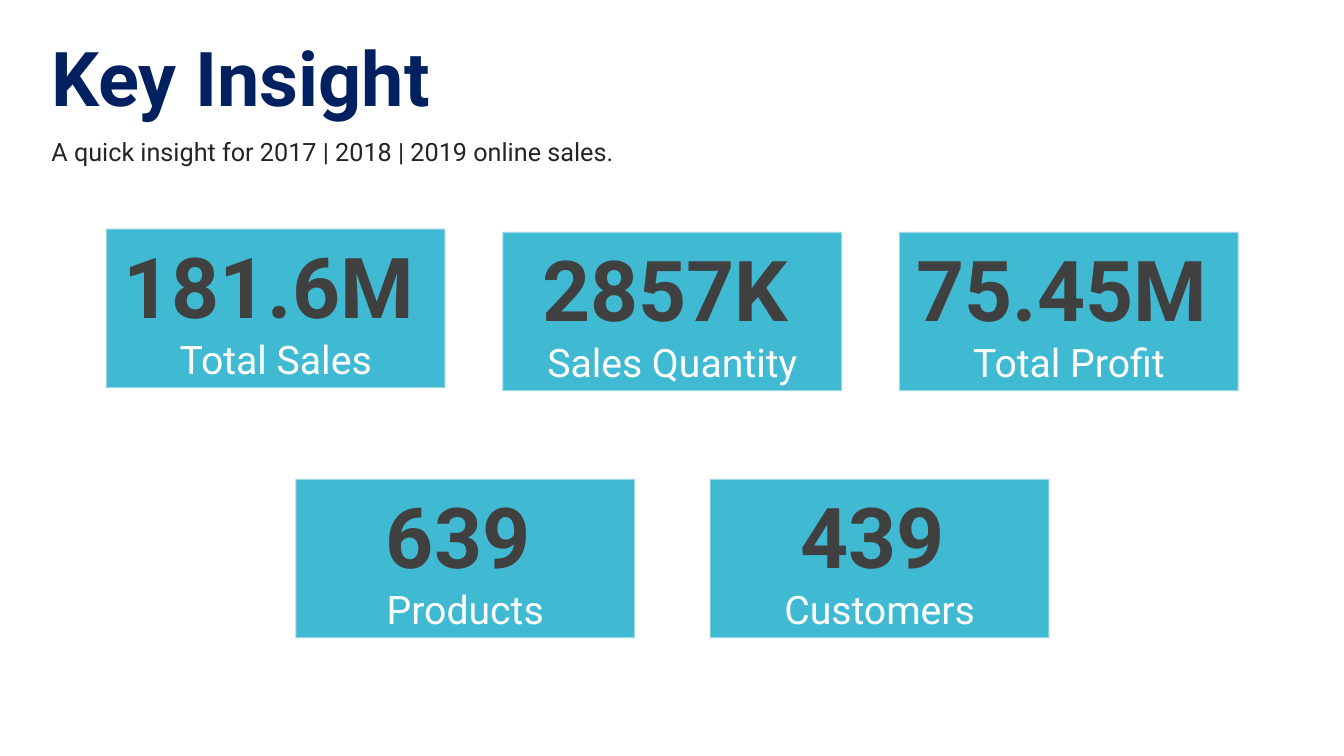
from dataclasses import dataclass

from lxml import etree
from pptx import Presentation
from pptx.dml.color import RGBColor
from pptx.enum.shapes import MSO_SHAPE
from pptx.enum.text import MSO_ANCHOR, PP_ALIGN
from pptx.oxml.ns import qn
from pptx.util import Pt

RECT = MSO_SHAPE.RECTANGLE
TOP = MSO_ANCHOR.TOP
MIDDLE = MSO_ANCHOR.MIDDLE
CENTER = PP_ALIGN.CENTER


@dataclass(frozen=True)
class Theme:
    font: str = "Roboto"
    spacer: str = "Calibri"
    navy: str = "002060"
    ink: str = "252423"
    teal: str = "40BAD2"
    edge: str = "F9F9F9"
    gray: str = "404040"
    white: str = "FFFFFF"
    title: float = 54
    note: float = 18
    value: float = 60
    gap: float = 44
    label: float = 28


THEME = Theme()
CARD_W, CARD_H = 242.6, 113.8
TOP_ROW = [
    ("181.6M", "Total Sales", 163.4),
    ("2857K", "Sales Quantity", 165.6),
    ("75.45M", "Total Profit", 165.6),
]
LOW_ROW = [("639", "Products", 342), ("439", "Customers", 342)]


def style(run, size, color, bold=False, face=THEME.font):
    font = run.font
    font.name, font.size, font.bold = face, Pt(size), bold
    font.color.rgb = RGBColor.from_string(color)


def add_text(slide, text, box, size, color, bold=False, anchor=TOP):
    frame = slide.shapes.add_textbox(*map(Pt, box)).text_frame
    frame.word_wrap = True
    frame.vertical_anchor = anchor
    frame.margin_left = frame.margin_right = 0
    frame.margin_top = frame.margin_bottom = 0
    frame.text = text
    style(frame.paragraphs[0].runs[0], size, color, bold)


def set_edge(card):
    """Give the card a half-transparent outline."""
    card.line.width = Pt(1.35)
    card.line.color.rgb = RGBColor.from_string(THEME.edge)
    color = card.line._get_or_add_ln().find(".//" + qn("a:srgbClr"))
    etree.SubElement(color, qn("a:alpha"), val="50000")


def add_card(slide, value, label, left, top):
    box = map(Pt, (left, top, CARD_W, CARD_H))
    card = slide.shapes.add_shape(RECT, *box)
    card.shadow.inherit = False
    card.fill.solid()
    card.fill.fore_color.rgb = RGBColor.from_string(THEME.teal)
    set_edge(card)
    frame = card.text_frame
    frame.word_wrap = True
    frame.vertical_anchor = MIDDLE
    frame.text = f"{value}\n{label}"
    head, foot = frame.paragraphs
    head.alignment = foot.alignment = CENTER
    style(head.runs[0], THEME.value, THEME.gray, True)
    space = head.add_run()
    space.text = " "
    style(space, THEME.gap, THEME.white, face=THEME.spacer)
    style(foot.runs[0], THEME.label, THEME.white)


def add_row(slide, cards, left, step):
    for i, (value, label, top) in enumerate(cards):
        add_card(slide, value, label, left + i * step, top)


def main():
    deck = Presentation()
    deck.slide_width, deck.slide_height = Pt(960), Pt(540)
    slide = deck.slides.add_slide(deck.slide_layouts[6])
    add_text(slide, "Key Insight", (36.7, 22.3, 784, 65.5),
             THEME.title, THEME.navy, bold=True)
    add_text(slide, "A quick insight for 2017 | 2018 | 2019 online sales.",
             (36.7, 75.6, 881.3, 65.5), THEME.note, THEME.ink, anchor=MIDDLE)
    add_row(slide, TOP_ROW, 75.6, 283.3)
    add_row(slide, LOW_ROW, 211, 296)
    deck.save("out.pptx")


if __name__ == "__main__":
    main()
